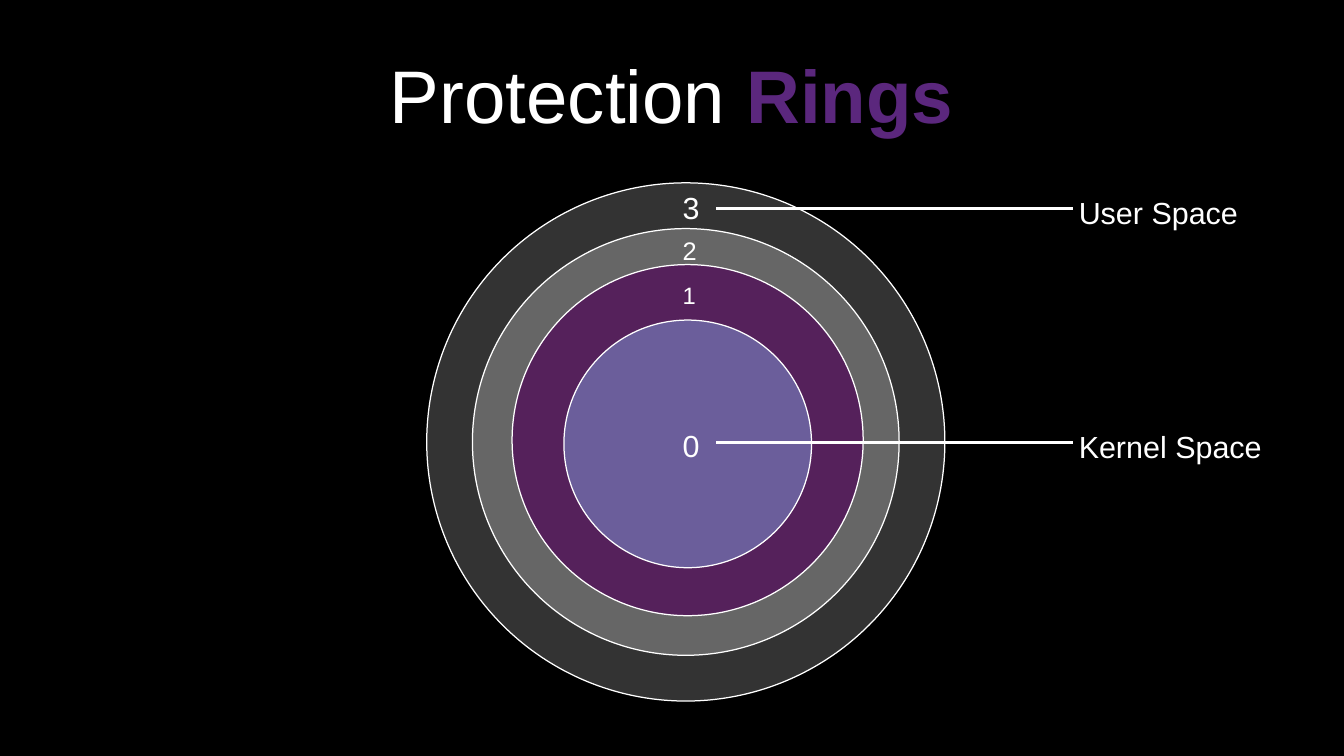
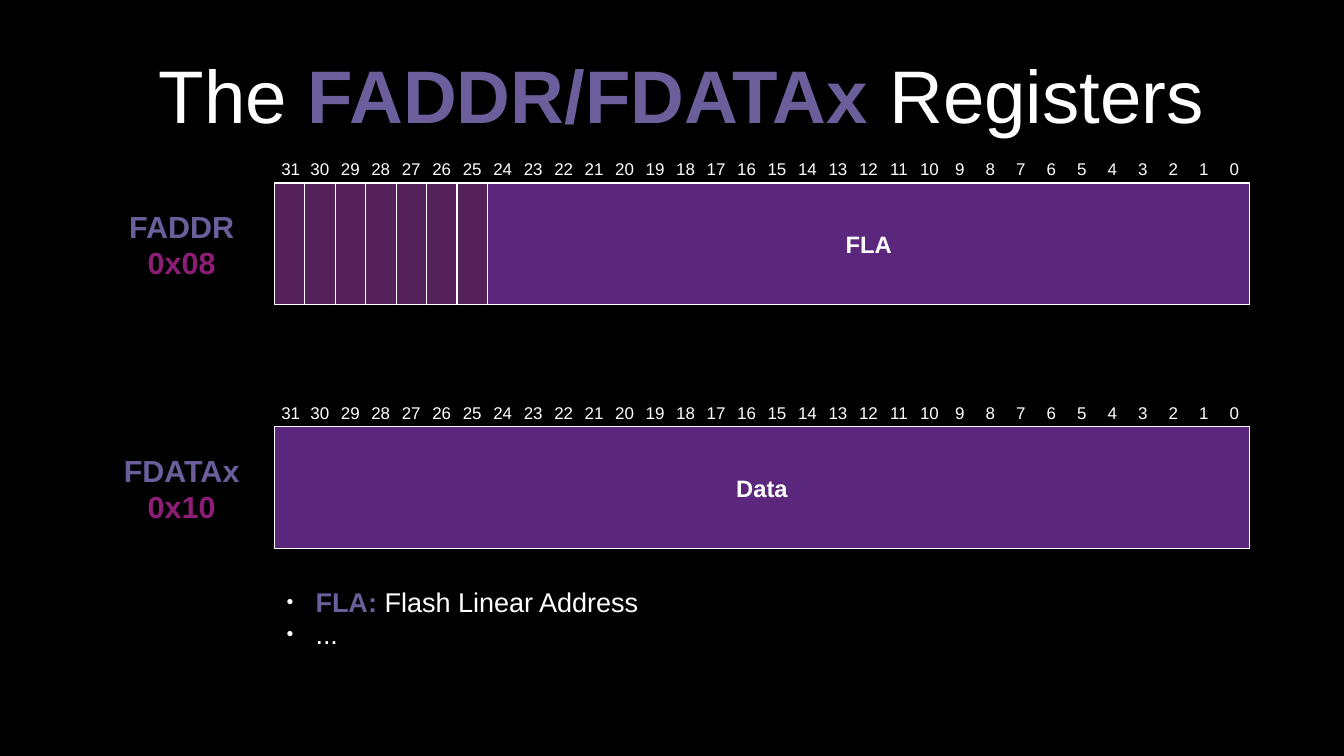
"""Builds two slides: the protection rings and the FADDR/FDATAx register layouts."""
from typing import NamedTuple

from lxml import etree
from pptx import Presentation, util as u
from pptx.dml.color import RGBColor
from pptx.enum import shapes, text
from pptx.oxml.ns import qn

COLORS = {
    "black": "000000", "white": "FFFFFF", "charcoal": "333333", "gray": "666666",
    "plum": "55215B", "purple": "5B277D", "lavender": "6B5E9B", "magenta": "8D1D75",
}
FONT = "Arial"
LEFT, CENTER = text.PP_ALIGN.LEFT, text.PP_ALIGN.CENTER
TOP, MIDDLE = text.MSO_ANCHOR.TOP, text.MSO_ANCHOR.MIDDLE
INSETS = (7.2, 3.6, 7.2, 3.6)
BITS, BIT_WIDTH, REGISTER_LEFT, REGISTER_HEIGHT = 32, 18, 162, 72


class Box(NamedTuple):
    left: float
    top: float
    width: float
    height: float


class Run(NamedTuple):
    words: str
    color: str = "white"
    bold: bool = False


class Ring(NamedTuple):
    box: Box
    color: str
    level: str
    level_box: Box
    size: float
    align: text.PP_ALIGN = LEFT


class Space(NamedTuple):
    name: str
    label_top: float
    line_y: float


class Field(NamedTuple):
    name: str
    bits: int
    color: str = "purple"


class Register(NamedTuple):
    name: str
    address: str
    top: float
    fields: list[Field]


RINGS = [
    Ring(Box(252, 108, 306, 306), "charcoal", "3", Box(396, 108, 18, 27), 18),
    Ring(Box(279, 135, 252, 252), "gray", "2", Box(396, 135, 18, 32.4), 15),
    Ring(Box(302.4, 156.24, 207.36, 207.36), "plum", "1", Box(396, 162, 18, 23), 14, CENTER),
    Ring(Box(333, 189, 146.25, 146.25), "lavender", "0", Box(396, 248.4, 18, 27), 18),
]
SPACES = [Space("User Space", 110.9, 123.1), Space("Kernel Space", 249.1, 261.4)]
REGISTERS = [
    Register("FADDR", "0x08", 108, [Field("", 1, "plum")] * 7 + [Field("FLA", 25)]),
    Register("FDATAx", "0x10", 252, [Field("Data", 32)]),
]
NOTES = [
    [Run("FLA: ", "lavender", True), Run("Flash Linear Address")],
    [Run("...")],
]


def rgb(name: str) -> RGBColor:
    return RGBColor.from_string(COLORS[name])


def place(box: Box) -> list[u.Length]:
    return [u.Pt(value) for value in box]


def write(frame, lines: list[list[Run]], size: float, align=LEFT, anchor=TOP, insets=INSETS) -> None:
    frame.word_wrap = True
    frame.vertical_anchor = anchor
    (frame.margin_left, frame.margin_top,
     frame.margin_right, frame.margin_bottom) = [u.Pt(inset) for inset in insets]
    frame.text = "\n".join("".join(run.words for run in line) for line in lines)
    for paragraph, line in zip(frame.paragraphs, lines):
        paragraph.alignment = align
        paragraph.text = line[0].words
        for part in line[1:]:
            paragraph.add_run().text = part.words
        for run, part in zip(paragraph.runs, line):
            run.font.name = FONT
            run.font.size = u.Pt(size)
            run.font.bold = part.bold
            run.font.color.rgb = rgb(part.color)


def add_text(slide, box: Box, lines: list[list[Run]], size: float, **style):
    frame = slide.shapes.add_textbox(*place(box)).text_frame
    write(frame, lines, size, **style)
    return frame


def add_filled(slide, kind: shapes.MSO_SHAPE, box: Box, color: str, line_width: float):
    shape = slide.shapes.add_shape(kind, *place(box))
    shape.shadow.inherit = False
    shape.fill.solid()
    shape.fill.fore_color.rgb = rgb(color)
    shape.line.color.rgb = rgb("white")
    shape.line.width = u.Pt(line_width)
    return shape


def add_line(slide, start: float, end: float, y: float) -> None:
    pointer = slide.shapes.add_connector(
        shapes.MSO_CONNECTOR.STRAIGHT, u.Pt(start), u.Pt(y), u.Pt(end), u.Pt(y))
    pointer.line.color.rgb = rgb("white")
    pointer.line.width = u.Pt(1.5)
    etree.SubElement(pointer._element.spPr, qn("a:effectLst"))


def add_bullet(paragraph) -> None:
    properties = paragraph._p.get_or_add_pPr()
    properties.set("marL", str(u.Pt(17.28)))
    properties.set("indent", str(u.Pt(-17.28)))
    color = etree.SubElement(properties, qn("a:buClr"))
    etree.SubElement(color, qn("a:srgbClr"), val=COLORS["white"])
    etree.SubElement(properties, qn("a:buSzPct"), val="45000")
    etree.SubElement(properties, qn("a:buFont"), typeface=FONT)
    etree.SubElement(properties, qn("a:buChar"), char="●")


def add_bit_numbers(slide, register_top: float) -> None:
    left = REGISTER_LEFT - 2.88
    numbers = "\t".join(str(bit) for bit in reversed(range(BITS)))
    frame = add_text(slide, Box(left, register_top - 18, 578.88, 18), [[Run(numbers)]], 10,
                     insets=(7.2, 3.6, 0, 3.6))
    tabs = etree.SubElement(frame.paragraphs[0]._p.get_or_add_pPr(), qn("a:tabLst"))
    first_center = REGISTER_LEFT + BIT_WIDTH / 2 - left - INSETS[0]
    for column in range(1, BITS):
        position = u.Pt(first_center + column * BIT_WIDTH)
        etree.SubElement(tabs, qn("a:tab"), pos=str(position), algn="ctr")


def add_register(slide, register: Register) -> None:
    left = REGISTER_LEFT
    for field in register.fields:
        width = field.bits * BIT_WIDTH
        cell = add_filled(slide, shapes.MSO_SHAPE.RECTANGLE,
                          Box(left, register.top, width, REGISTER_HEIGHT), field.color, 0.79)
        if field.name:
            write(cell.text_frame, [[Run(field.name, bold=True)]], 14, CENTER, MIDDLE)
        left += width
    add_bit_numbers(slide, register.top)
    add_text(slide, Box(54, register.top + 9.36, 106.56, 54),
             [[Run(register.name, "lavender", True)], [Run(register.address, "magenta", True)]],
             18, align=CENTER, anchor=MIDDLE)


def add_slide(deck, title: list[Run]):
    slide = deck.slides.add_slide(deck.slide_layouts[6])
    slide.background.fill.solid()
    slide.background.fill.fore_color.rgb = rgb("black")
    add_text(slide, Box(39.6, 18, 714.24, 74.88), [title], 44,
             align=CENTER, anchor=MIDDLE, insets=(0, 0, 0, 0))
    return slide


def build_rings(deck) -> None:
    slide = add_slide(deck, [Run("Protection "), Run("Rings", "purple", True)])
    for ring in RINGS:
        add_filled(slide, shapes.MSO_SHAPE.OVAL, ring.box, ring.color, 0)
    for ring in RINGS:
        add_text(slide, ring.level_box, [[Run(ring.level)]], ring.size, align=ring.align)
    for space in SPACES:
        add_text(slide, Box(630, space.label_top, 144, 36), [[Run(space.name)]], 18)
        add_line(slide, 423, 633.6, space.line_y)


def build_registers(deck) -> None:
    slide = add_slide(deck, [Run(" The "), Run("FADDR/FDATAx ", "lavender", True), Run("Registers")])
    for register in REGISTERS:
        add_register(slide, register)
    notes = add_text(slide, Box(REGISTER_LEFT, 342, 576, 95.76), NOTES, 16)
    for paragraph in notes.paragraphs:
        add_bullet(paragraph)


def main() -> None:
    deck = Presentation()
    deck.slide_width, deck.slide_height = u.Pt(793.7), u.Pt(446.46)
    build_rings(deck)
    build_registers(deck)
    deck.save("out.pptx")


main()
